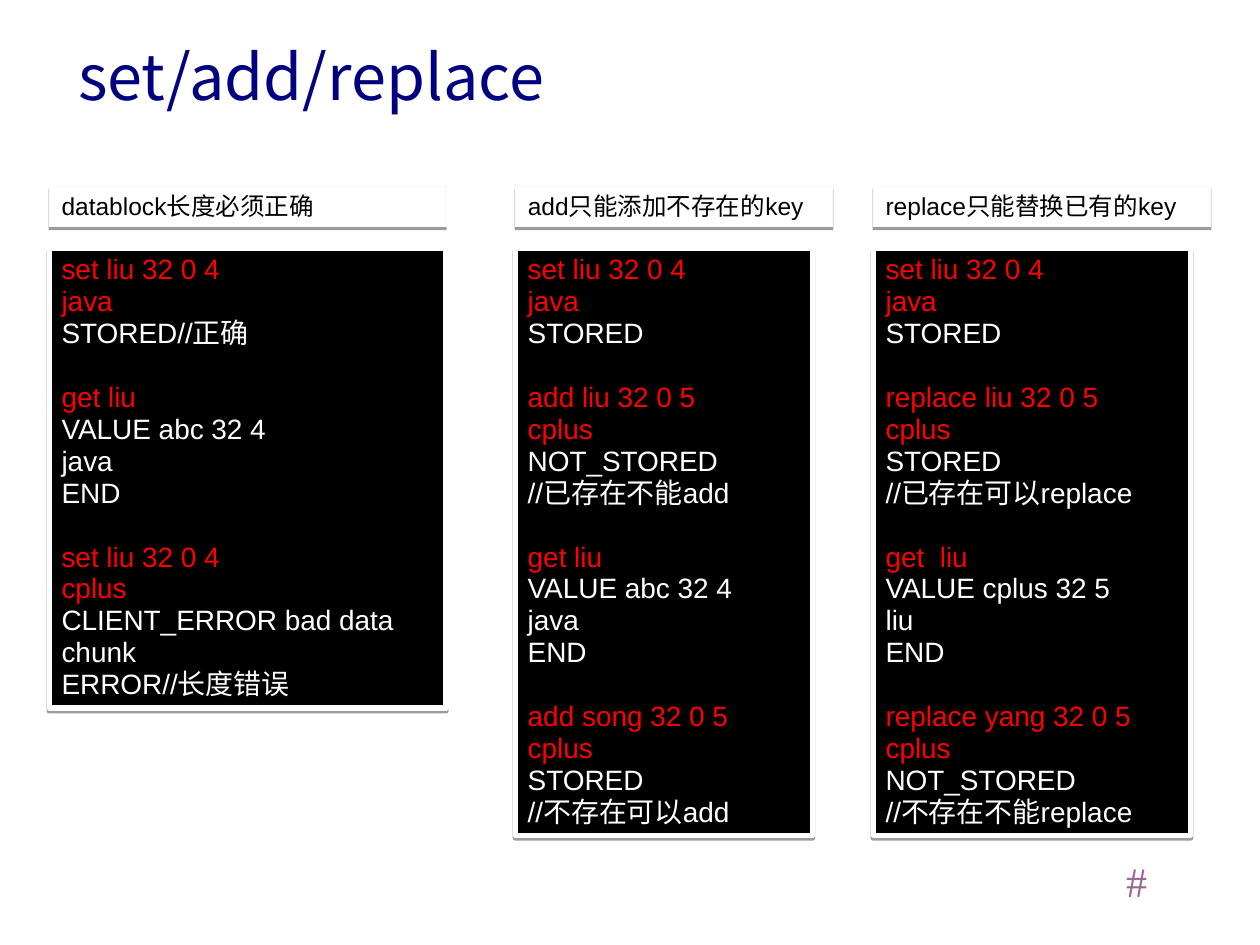
import lxml.etree
import pptx
import pptx.dml.color
import pptx.enum.shapes
import pptx.enum.text
import pptx.oxml
import pptx.oxml.ns
import pptx.util

Pt = pptx.util.Pt
RGBColor = pptx.dml.color.RGBColor
AutoSize = pptx.enum.text.MSO_AUTO_SIZE
qn = pptx.oxml.ns.qn

BLACK = RGBColor(0x00, 0x00, 0x00)
WHITE = RGBColor(0xFF, 0xFF, 0xFF)
RED = RGBColor(0xFF, 0x00, 0x00)
NAVY = RGBColor(0x00, 0x00, 0x80)
MAUVE = RGBColor(0x99, 0x66, 0x99)
PALE_GRAY = RGBColor(0xF9, 0xF9, 0xF9)

LINE_SPACING = 0.95
GROUP_GAP = 18.24
HEADING_TOP, HEADING_HEIGHT = 106.56, 23.04
CODE_TOP = 141.84

# Each column: left, heading width, code width, code height, heading, exchanges.
# Each exchange: command lines, reply lines.
COLUMNS = [
    (28.08, 226.8, 226.8, 262.8, "datablock长度必须正确", [
        (["set liu 32 0 4", "java"], ["STORED//正确"]),
        (["get liu"], ["VALUE abc 32 4", "java", "END"]),
        (["set liu 32 0 4", "cplus"],
         ["CLIENT_ERROR bad data chunk", "ERROR//长度错误"]),
    ]),
    (294.48, 181.44, 169.92, 335.52, "add只能添加不存在的key", [
        (["set liu 32 0 4", "java"], ["STORED"]),
        (["add liu 32 0 5", "cplus"], ["NOT_STORED", "//已存在不能add"]),
        (["get liu"], ["VALUE abc 32 4", "java", "END"]),
        (["add song 32 0 5", "cplus"], ["STORED", "//不存在可以add"]),
    ]),
    (498.96, 192.96, 181.44, 335.52, "replace只能替换已有的key", [
        (["set liu 32 0 4", "java"], ["STORED"]),
        (["replace liu 32 0 5", "cplus"], ["STORED", "//已存在可以replace"]),
        (["get  liu"], ["VALUE cplus 32 5", "liu", "END"]),
        (["replace yang 32 0 5", "cplus"],
         ["NOT_STORED", "//不存在不能replace"]),
    ]),
]


def write_line(text_frame, text, *, size, color, font="Arial", space_before=0):
    """Fill the empty first paragraph, or append a new one."""
    paragraph = text_frame.paragraphs[0]
    if paragraph.runs:
        paragraph = text_frame.add_paragraph()
    paragraph.alignment = pptx.enum.text.PP_ALIGN.LEFT
    paragraph.line_spacing = LINE_SPACING
    paragraph.space_before = Pt(space_before)
    run = paragraph.add_run()
    run.text = text
    run.font.size = Pt(size)
    run.font.name = font
    run.font.color.rgb = color
    east_asian = lxml.etree.SubElement(run.font._element, qn("a:ea"))
    east_asian.set("typeface", font)
    return paragraph


def format_frame(text_frame, margins, auto_size, wrap=True):
    text_frame.word_wrap = wrap
    text_frame.auto_size = auto_size
    text_frame.vertical_anchor = pptx.enum.text.MSO_ANCHOR.TOP
    (text_frame.margin_left, text_frame.margin_top,
     text_frame.margin_right, text_frame.margin_bottom) = map(Pt, margins)


def add_panel(slide, box, fill, line, line_width):
    """Add a rectangle with a hard shadow below it; return its text frame."""
    shape = slide.shapes.add_shape(
        pptx.enum.shapes.MSO_SHAPE.RECTANGLE, *map(Pt, box))
    shape.fill.solid()
    shape.fill.fore_color.rgb = fill
    shape.line.color.rgb = line
    shape.line.width = Pt(line_width)
    shape.shadow.inherit = False
    effects = shape._element.spPr.find(qn("a:effectLst"))
    shadow = lxml.etree.SubElement(
        effects, qn("a:outerShdw"), blurRad="0", dist=str(Pt(1.6)),
        dir="5400000", rotWithShape="0")
    color = lxml.etree.SubElement(shadow, qn("a:srgbClr"), val=str(BLACK))
    lxml.etree.SubElement(color, qn("a:alpha"), val="38000")
    format_frame(shape.text_frame, (7.2, 3.6, 7.2, 3.6),
                 AutoSize.SHAPE_TO_FIT_TEXT)
    return shape.text_frame


def add_heading(slide, box, text):
    text_frame = add_panel(slide, box, WHITE, PALE_GRAY, 0.75)
    write_line(text_frame, text, size=14, color=BLACK)


def add_code(slide, box, exchanges):
    text_frame = add_panel(slide, box, BLACK, WHITE, 3)
    for index, (commands, replies) in enumerate(exchanges):
        gap = GROUP_GAP if index else 0
        for text in commands:
            write_line(text_frame, text, size=16, color=RED, space_before=gap)
            gap = 0
        for text in replies:
            write_line(text_frame, text, size=16, color=WHITE)


def place_title(slide, box, text):
    title = slide.shapes.title
    title.left, title.top, title.width, title.height = map(Pt, box)
    format_frame(title.text_frame, (0, 2.16, 0, 0), AutoSize.NONE)
    paragraph = write_line(title.text_frame, text, size=36, color=NAVY,
                           font="Noto Sans CJK SC")
    properties = paragraph._p.get_or_add_pPr()
    properties.set("marL", str(Pt(27)))
    properties.set("indent", str(Pt(-27)))


def add_page_mark(slide, box, text):
    text_frame = slide.shapes.add_textbox(*map(Pt, box)).text_frame
    format_frame(text_frame, (7.2, 5.04, 7.2, 3.6),
                 AutoSize.SHAPE_TO_FIT_TEXT, wrap=False)
    write_line(text_frame, text, size=24, color=MAUVE, font="Times New Roman")


def main():
    presentation = pptx.Presentation()
    presentation.slide_width, presentation.slide_height = Pt(720), Pt(540)
    # Title Only layout
    slide = presentation.slides.add_slide(presentation.slide_layouts[5])

    add_page_mark(slide, (636.48, 486, 25.92, 36), "#")
    place_title(slide, (44.64, 22.32, 612, 67.68), "set/add/replace")

    # Code panels, then the headings above them
    for left, _, width, height, _, exchanges in COLUMNS:
        add_code(slide, (left, CODE_TOP, width, height), exchanges)
    for left, width, _, _, heading, _ in COLUMNS:
        add_heading(slide, (left, HEADING_TOP, width, HEADING_HEIGHT), heading)

    presentation.save("out.pptx")


if __name__ == "__main__":
    main()
